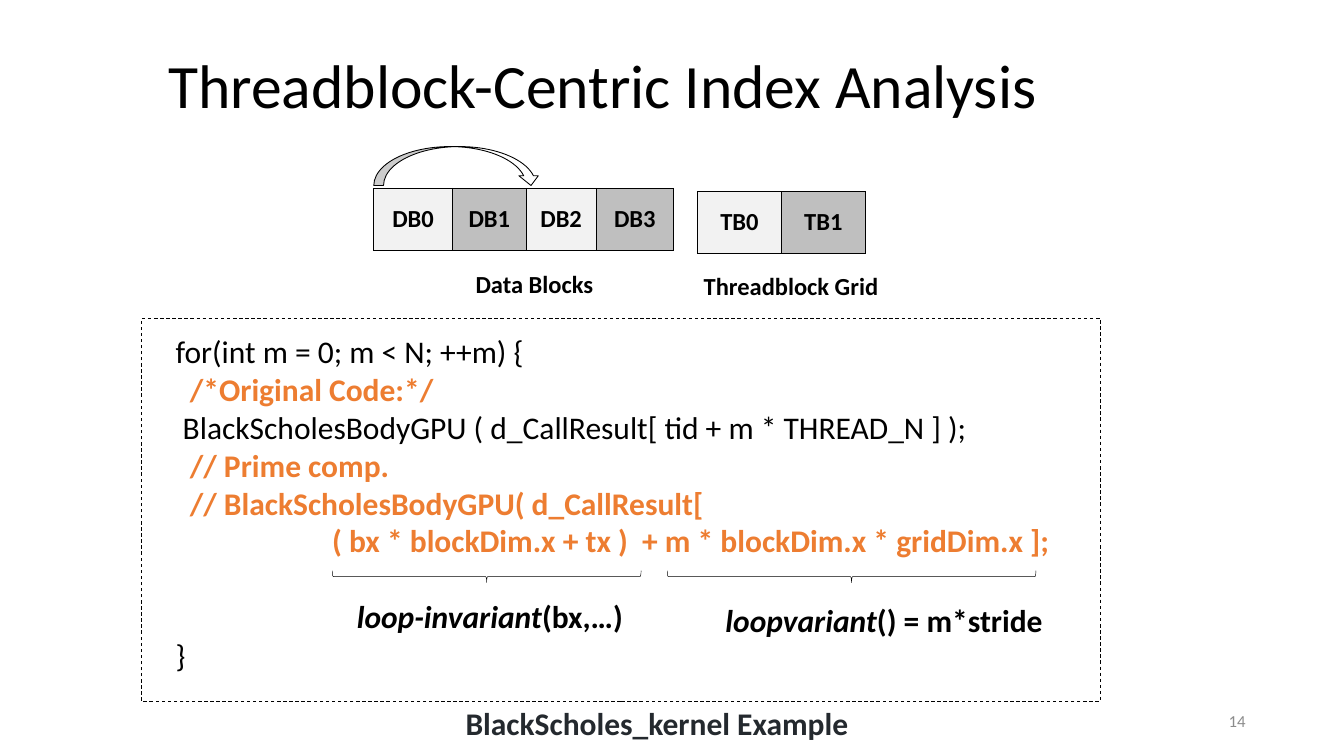
from dataclasses import dataclass

from lxml import etree
from pptx import Presentation
from pptx import util as u
from pptx.dml.color import RGBColor
from pptx.enum import dml, shapes, text
from pptx.oxml.ns import qn


@dataclass(frozen=True)
class Theme:
    font: str = "Calibri"
    black: str = "000000"
    white: str = "FFFFFF"
    accent: str = "ED7D31"
    caption: str = "24292E"
    muted: str = "8C8C8C"
    light: str = "F2F2F2"
    dark: str = "BFBFBF"
    title_pt: float = 70.4
    body_pt: float = 36
    label_pt: float = 28
    number_pt: float = 19.2


@dataclass(frozen=True)
class Box:
    """A frame in centimetres."""
    left: float
    top: float
    width: float
    height: float

    def emu(self) -> tuple:
        return tuple(u.Cm(v) for v in (self.left, self.top, self.width, self.height))


@dataclass(frozen=True)
class BlockRow:
    left: float
    top: float
    height: float
    prefix: str
    widths: tuple


@dataclass(frozen=True)
class Term:
    """A bracketed part of the index expression and its name."""
    brace: Box
    label: Box
    name: str
    rest: str


T = Theme()
ALIGN = text.PP_ALIGN
MIDDLE = text.MSO_ANCHOR.MIDDLE

CODE = (
    ("for(int m = 0; m < N; ++m) {", False),
    ("  /*Original Code:*/", True),
    (" BlackScholesBodyGPU ( d_CallResult[ tid + m * THREAD_N ] );", False),
    ("  // Prime comp.", True),
    ("  // BlackScholesBodyGPU( d_CallResult[", True),
    ("                      ( bx * blockDim.x + tx )  + m * blockDim.x * gridDim.x ];", True),
    ("}", False),
)
BRACE_GAP_PT = 88  # two code lines, left free for the braces and their names

TERMS = (
    Term(Box(19.38, 17.02, 0.48, 12.45), Box(9.78, 23.95, 19.94, 1.8),
         "loop-invariant", "(bx,…)"),
    Term(Box(34.09, 15.82, 0.48, 14.86), Box(28.58, 24.1, 14.12, 1.8),
         "loopvariant", "() = m*stride"),
)
BLOCK_ROWS = (
    BlockRow(28.12, 7.72, 2.51, "TB", (3.38, 3.38)),
    BlockRow(15.06, 7.59, 2.49, "DB", (3.18, 2.97, 2.82, 3.12)),
)


def rgb(value: str) -> RGBColor:
    return RGBColor.from_string(value)


def add_run(p, words: str, *, size: float = T.body_pt, color: str = T.black,
            bold: bool = False, italic: bool = False) -> None:
    r = p.add_run()
    r.text = words
    f = r.font
    f.name, f.size, f.bold, f.italic = T.font, u.Pt(size), bold, italic
    f.color.rgb = rgb(color)


def add_frame(s, box: Box, *, wrap: bool = True, anchor=text.MSO_ANCHOR.TOP):
    tf = s.shapes.add_textbox(*box.emu()).text_frame
    tf.word_wrap, tf.vertical_anchor = wrap, anchor
    return tf


def add_text(s, box: Box, words: str, *, align=ALIGN.LEFT, spacing: float = 1.0,
             wrap: bool = True, anchor=text.MSO_ANCHOR.TOP, **style) -> None:
    p = add_frame(s, box, wrap=wrap, anchor=anchor).paragraphs[0]
    p.alignment, p.line_spacing = align, spacing
    add_run(p, words, **style)


def add_outline(s, kind, box: Box, *, width: float = 1, rotation: float = 0,
                fill: str = ""):
    sp = s.shapes.add_shape(kind, *box.emu())
    sp.shadow.inherit = False
    sp.rotation = rotation
    sp.line.color.rgb, sp.line.width = rgb(T.black), u.Pt(width)
    if fill:
        sp.fill.solid()
        sp.fill.fore_color.rgb = rgb(fill)
    else:
        sp.fill.background()
    return sp


def add_code(s, box: Box) -> None:
    tf = add_frame(s, box)
    for i, (line, marked) in enumerate(CODE):
        p = tf.paragraphs[0] if i == 0 else tf.add_paragraph()
        if line == "}":
            p.space_before = u.Pt(BRACE_GAP_PT)
        add_run(p, line, color=T.accent if marked else T.black, bold=marked)


def add_term(s, term: Term) -> None:
    add_outline(s, shapes.MSO_SHAPE.LEFT_BRACE, term.brace, width=0.5, rotation=270)
    p = add_frame(s, term.label).paragraphs[0]
    p.alignment = ALIGN.CENTER
    add_run(p, term.name, bold=True, italic=True)
    add_run(p, term.rest, bold=True)


def add_borders(cell) -> None:
    tc_pr = cell._tc.get_or_add_tcPr()
    for side in ("lnL", "lnR", "lnT", "lnB"):
        ln = etree.SubElement(tc_pr, qn(f"a:{side}"), w=str(u.Pt(1)))
        fill = etree.SubElement(ln, qn("a:solidFill"))
        etree.SubElement(fill, qn("a:srgbClr"), val=T.black)


def add_blocks(s, row: BlockRow) -> None:
    box = Box(row.left, row.top, sum(row.widths), row.height)
    table = s.shapes.add_table(1, len(row.widths), *box.emu()).table
    table.rows[0].height = u.Cm(row.height)
    for i, width in enumerate(row.widths):
        table.columns[i].width = u.Cm(width)
        cell = table.cell(0, i)
        add_borders(cell)
        cell.fill.solid()
        cell.fill.fore_color.rgb = rgb(T.dark if i % 2 else T.light)
        cell.vertical_anchor = MIDDLE
        cell.margin_left = cell.margin_right = u.Cm(0.46)
        cell.margin_top = cell.margin_bottom = u.Cm(0.23)
        p = cell.text_frame.paragraphs[0]
        p.alignment = ALIGN.CENTER
        add_run(p, f"{row.prefix}{i}", size=T.label_pt, bold=True)


def main() -> None:
    prs = Presentation()
    prs.slide_width, prs.slide_height = u.Cm(54.18), u.Cm(30.48)
    s = prs.slides.add_slide(prs.slide_layouts[6])

    # Title and slide number
    add_text(s, Box(6.53, 0.61, 41.63, 5.89), "Threadblock-Centric Index Analysis",
             size=T.title_pt, spacing=0.9, anchor=MIDDLE)
    add_text(s, Box(38.28, 28.24, 12.19, 1.63), "14", size=T.number_pt,
             color=T.muted, align=ALIGN.RIGHT, anchor=MIDDLE)

    # Code with its two index terms, in a dashed frame
    add_code(s, Box(6.83, 13.28, 63.09, 14.1))
    for term in TERMS:
        add_term(s, term)
    frame = add_outline(s, shapes.MSO_SHAPE.RECTANGLE, Box(5.69, 12.85, 38.68, 15.42))
    frame.line.dash_style = dml.MSO_LINE.DASH

    # Data blocks and threadblock grid
    for row in BLOCK_ROWS:
        add_blocks(s, row)
    add_text(s, Box(18.92, 10.74, 6.1, 1.45), "Data Blocks", size=T.label_pt, bold=True)
    add_text(s, Box(28.12, 10.8, 8.59, 1.45), "Threadblock Grid",
             size=T.label_pt, bold=True)

    # Stride arrow from DB0 to DB2
    arrow = add_outline(s, shapes.MSO_SHAPE.CURVED_RIGHT_ARROW,
                        Box(17.65, 3.33, 1.57, 6.73), rotation=90, fill=T.white)
    arrow._element.spPr.find(qn("a:xfrm")).set("flipV", "1")

    # Caption
    add_text(s, Box(18.52, 28.27, 16.1, 1.8), "BlackScholes_kernel Example",
             color=T.caption, bold=True, wrap=False)

    prs.save("out.pptx")


if __name__ == "__main__":
    main()
